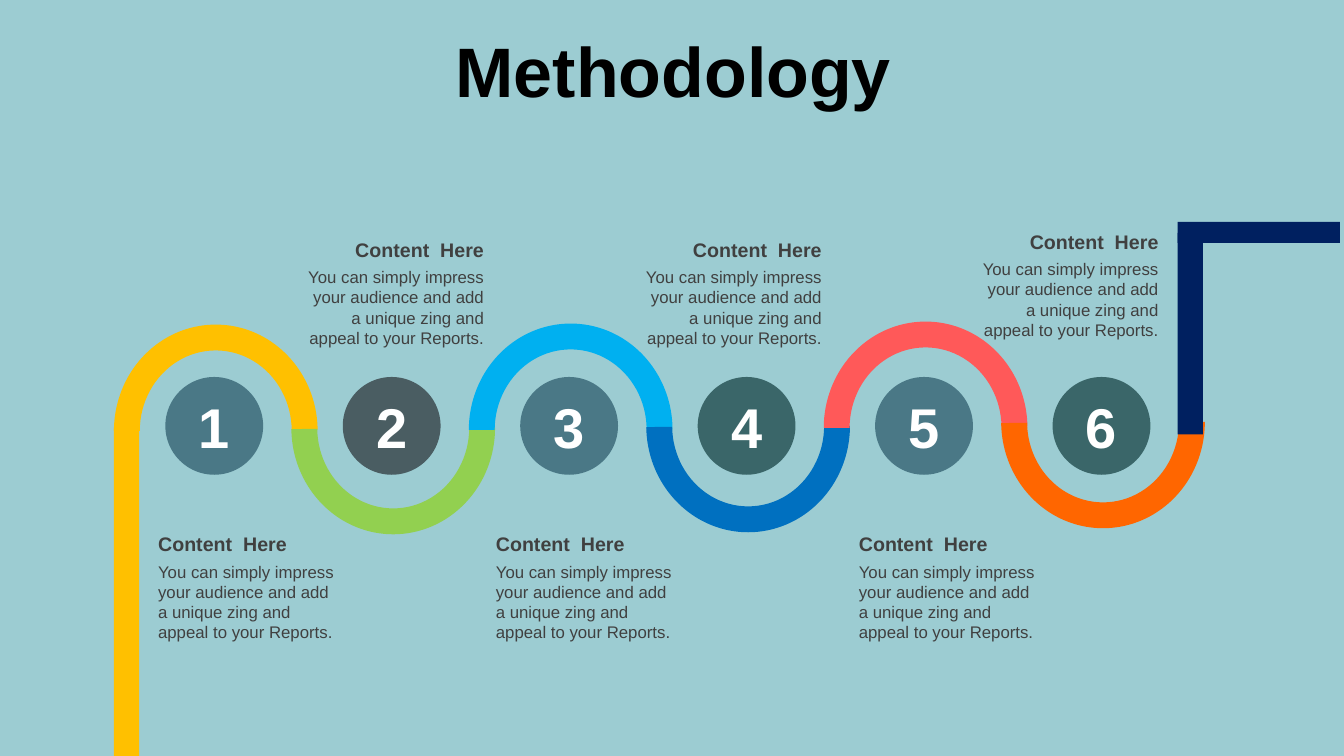
from pptx import Presentation
from pptx.dml.color import RGBColor
from pptx.enum.shapes import MSO_SHAPE
from pptx.enum.text import MSO_ANCHOR, PP_ALIGN
from pptx.util import Inches, Pt

ARC, OVAL, BAR = MSO_SHAPE.BLOCK_ARC, MSO_SHAPE.OVAL, MSO_SHAPE.RECTANGLE
LEFT, CENTER, RIGHT = PP_ALIGN.LEFT, PP_ALIGN.CENTER, PP_ALIGN.RIGHT
TOP, MIDDLE = MSO_ANCHOR.TOP, MSO_ANCHOR.MIDDLE

BACKGROUND = RGBColor(0x9C, 0xCC, 0xD2)
BLACK = RGBColor(0, 0, 0)
WHITE = RGBColor(0xFF, 0xFF, 0xFF)
GREY = RGBColor(0x40, 0x40, 0x40)
YELLOW = RGBColor(0xFF, 0xC0, 0x00)
GREEN = RGBColor(0x92, 0xD0, 0x50)
SKY = RGBColor(0x00, 0xB0, 0xF0)
BLUE = RGBColor(0x00, 0x70, 0xC0)
CORAL = RGBColor(0xFF, 0x59, 0x59)
ORANGE = RGBColor(0xFF, 0x66, 0x00)
NAVY = RGBColor(0x00, 0x20, 0x60)
STEEL = RGBColor(0x4A, 0x78, 0x86)
SLATE = RGBColor(0x4A, 0x5D, 0x62)
TEAL = RGBColor(0x3A, 0x66, 0x69)

TITLE = "Methodology"
HEADING = "Content  Here"
BODY = ("You can simply impress your audience and add "
        "a unique zing and appeal to your Reports.")

# fmt: off
STEPS = [
    {"road": YELLOW, "arc_top": 3.22, "disc": STEEL, "note": (1.47, 5.23)},
    {"road": GREEN, "arc_top": 3.19, "disc": SLATE, "note": (2.9, 2.31)},
    {"road": SKY, "arc_top": 3.21, "disc": STEEL, "note": (4.82, 5.23)},
    {"road": BLUE, "arc_top": 3.17, "disc": TEAL, "note": (6.25, 2.31)},
    {"road": CORAL, "arc_top": 3.19, "disc": STEEL, "note": (8.42, 5.23)},
    {"road": ORANGE, "arc_top": 3.13, "disc": TEAL, "note": (9.59, 2.23)},
]
ROAD_ENDS = [
    (YELLOW, (1.13, 4.25, 0.25, 3.25)),
    (NAVY, (11.68, 2.31, 0.25, 2)),
    (NAVY, (11.68, 2.2, 1.61, 0.21)),
]
# fmt: on

ARC_SHAPE = (108, 215.594, 0.127)
ARC_LEFT, ARC_WIDTH, ARC_HEIGHT = 1.13, 2.02, 2.11
DISC_LEFT, DISC_TOP, DISC_SIZE = 1.64, 3.74, 0.97
PITCH = 1.76
NOTE_WIDTH, BODY_DROP = 2, 0.29

TITLE_FONT = {"name": "Arial", "size": Pt(50), "bold": True}
NUMBER_FONT = {"name": "Arial", "size": Pt(40), "bold": True}
HEADING_FONT = {"name": "Arial", "size": Pt(14), "bold": True}
BODY_FONT = {"name": "Arial", "size": Pt(12), "bold": False}


def write(holder, text, font, color, align, anchor):
    frame = holder.text_frame
    frame.word_wrap = True
    frame.vertical_anchor = anchor
    line = frame.paragraphs[0]
    line.text = text
    line.alignment = align
    for key, value in font.items():
        setattr(line.font, key, value)
    line.font.color.rgb = color
    return line


def add_part(slide, kind, box, color):
    part = slide.shapes.add_shape(kind, *map(Inches, box))
    part.shadow.inherit = False
    part.fill.solid()
    part.fill.fore_color.rgb = color
    part.line.fill.background()
    return part


def add_words(slide, box, text, font, color, align, anchor=TOP):
    holder = slide.shapes.add_textbox(*map(Inches, box))
    return write(holder, text, font, color, align, anchor)


def main():
    deck = Presentation()
    deck.slide_width, deck.slide_height = Inches(13.33), Inches(7.5)
    slide = deck.slides.add_slide(deck.slide_layouts[6])
    slide.background.fill.solid()
    slide.background.fill.fore_color.rgb = BACKGROUND

    title = add_words(slide, (0.35, 0.37, 12.66, 0.79), TITLE, TITLE_FONT,
                      BLACK, CENTER, MIDDLE)
    title.line_spacing = 0.8

    for index, step in enumerate(STEPS):
        box = (ARC_LEFT + index * PITCH, step["arc_top"], ARC_WIDTH, ARC_HEIGHT)
        arc = add_part(slide, ARC, box, step["road"])
        for place, value in enumerate(ARC_SHAPE):
            arc.adjustments[place] = value
        arc.rotation = 180 * (index % 2)

    for color, box in ROAD_ENDS:
        add_part(slide, BAR, box, color)

    for index, step in enumerate(STEPS):
        box = (DISC_LEFT + index * PITCH, DISC_TOP, DISC_SIZE, DISC_SIZE)
        disc = add_part(slide, OVAL, box, step["disc"])
        write(disc, str(index + 1), NUMBER_FONT, WHITE, CENTER, MIDDLE)

        left, top = step["note"]
        align = RIGHT if index % 2 else LEFT
        add_words(slide, (left, top, NOTE_WIDTH, 0.34), HEADING, HEADING_FONT,
                  GREY, align)
        add_words(slide, (left, top + BODY_DROP, NOTE_WIDTH, 0.91), BODY,
                  BODY_FONT, GREY, align)

    deck.save("out.pptx")


if __name__ == "__main__":
    main()
